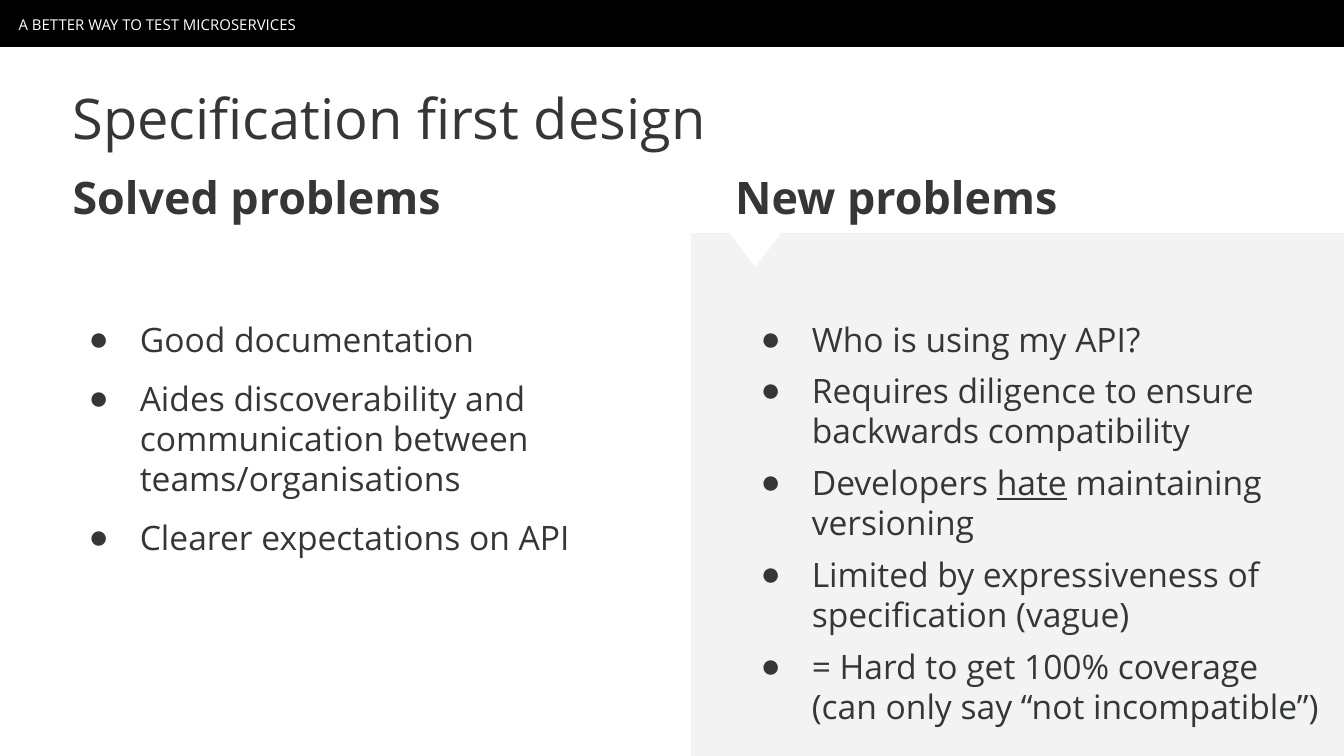
import pptx
import pptx.dml.color
import pptx.enum.shapes
import pptx.enum.text
import pptx.oxml.ns
import pptx.util
from lxml import etree

Inches = pptx.util.Inches
RGBColor = pptx.dml.color.RGBColor

FONT = "Open Sans"
BULLET_FONT = "Arial"
INK = RGBColor(0x35, 0x37, 0x37)
WHITE = RGBColor(0xFF, 0xFF, 0xFF)
BLACK = RGBColor(0x00, 0x00, 0x00)
PALE_GREY = RGBColor(0xF3, 0xF3, 0xF3)

SLIDE_WIDTH = 10
SLIDE_HEIGHT = SLIDE_WIDTH * 9 / 16
MARGIN = 0.44
HEADING_TOP = 1.16
LIST_OFFSET = 1.11

SOLVED_PROBLEMS = [
    "Good documentation",
    "Aides discoverability and communication between teams/organisations",
    "Clearer expectations on API",
]
NEW_PROBLEMS = [
    "Who is using my API?",
    "Requires diligence to ensure backwards compatibility",
    "Developers _hate_ maintaining versioning",
    "Limited by expressiveness of specification (vague)",
    "= Hard to get 100% coverage (can only say “not incompatible”)",
]


def place(shape, left, top, width, height):
    """Move a shape to a box given in inches."""
    shape.left, shape.top = Inches(left), Inches(top)
    shape.width, shape.height = Inches(width), Inches(height)


def prepare_frame(shape, anchor=pptx.enum.text.MSO_ANCHOR.TOP):
    """Give a text frame wrapping, even insets and no autofit."""
    frame = shape.text_frame
    frame.word_wrap = True
    frame.auto_size = pptx.enum.text.MSO_AUTO_SIZE.NONE
    frame.vertical_anchor = anchor
    frame.margin_left = frame.margin_right = Inches(0.1)
    frame.margin_top = frame.margin_bottom = Inches(0.1)
    return frame


def write_text(paragraph, text, size, color=INK, bold=False, before=0, line_spacing=1.0):
    """Write text into a paragraph, underlining what stands between underscores."""
    paragraph.alignment = pptx.enum.text.PP_ALIGN.LEFT
    paragraph.space_before = pptx.util.Pt(before)
    paragraph.line_spacing = line_spacing
    for index, part in enumerate(text.split("_")):
        run = paragraph.add_run()
        run.text = part
        run.font.name = FONT
        run.font.size = pptx.util.Pt(size)
        run.font.bold = bold
        run.font.color.rgb = color
        if index % 2:
            run.font.underline = True


def add_bullet(paragraph):
    """Give a paragraph a hanging round bullet."""
    properties = paragraph._p.get_or_add_pPr()
    properties.set("marL", str(Inches(0.5)))
    properties.set("indent", str(Inches(-0.38)))
    qualified = pptx.oxml.ns.qn
    color = etree.SubElement(properties, qualified("a:buClr"))
    etree.SubElement(color, qualified("a:srgbClr"), val=str(INK))
    etree.SubElement(properties, qualified("a:buFont"), typeface=BULLET_FONT)
    etree.SubElement(properties, qualified("a:buChar"), char="●")


def add_filled_shape(slide, kind, box, color, outlined=True):
    """Add a flat shape in one colour."""
    shape = slide.shapes.add_shape(kind, *map(Inches, box))
    shape.shadow.inherit = False
    shape.fill.solid()
    shape.fill.fore_color.rgb = color
    if outlined:
        shape.line.color.rgb = color
        shape.line.width = pptx.util.Pt(0.75)
    else:
        shape.line.fill.background()
    return shape


def add_banner(slide, left, top, width, height):
    """Add the black strip with the name of the talk."""
    kind = pptx.enum.shapes.MSO_SHAPE.RECTANGLE
    add_filled_shape(slide, kind, (left, top, width, height), BLACK, outlined=False)
    label = slide.shapes.add_textbox(
        Inches(left + 0.04), Inches(top + 0.03), Inches(8.83), Inches(0.28)
    )
    frame = prepare_frame(label, pptx.enum.text.MSO_ANCHOR.MIDDLE)
    write_text(frame.paragraphs[0], "A BETTER WAY TO TEST MICROSERVICES",
               size=8, color=WHITE, line_spacing=1.15)


def add_panel(slide, left, top, width, height):
    """Add the grey panel with its notch, behind the text."""
    kinds = pptx.enum.shapes.MSO_SHAPE
    panel = add_filled_shape(slide, kinds.RECTANGLE, (left, top, width, height), PALE_GREY)
    slide.shapes._spTree.insert(2, panel._element)
    notch = add_filled_shape(
        slide, kinds.ISOSCELES_TRIANGLE, (left + 0.29, top, 0.36, 0.24), WHITE
    )
    notch.rotation = 180


def fill_title(slide, left, top, width, height):
    """Fill the title placeholder."""
    title = slide.shapes.title
    place(title, left, top, width, height)
    write_text(prepare_frame(title).paragraphs[0], "Specification first design", size=30)


def fill_column(heading, body, left, top, title, items, list_box, before):
    """Fill a heading and the bulleted list under it."""
    place(heading, left, top, 4.63, 0.5)
    write_text(prepare_frame(heading).paragraphs[0], title, size=24, bold=True)
    indent, width, height = list_box
    place(body, left + indent, top + LIST_OFFSET, width, height)
    frame = prepare_frame(body)
    for index, item in enumerate(items):
        paragraph = frame.add_paragraph() if index else frame.paragraphs[0]
        add_bullet(paragraph)
        write_text(paragraph, item, size=18, before=before if index else 0)


def main():
    """Build and save the slide."""
    presentation = pptx.Presentation()
    presentation.slide_width = Inches(SLIDE_WIDTH)
    presentation.slide_height = Inches(SLIDE_HEIGHT)
    layout = presentation.slide_layouts.get_by_name("Comparison")
    slide = presentation.slides.add_slide(layout)
    left_heading, left_list, right_heading, right_list = list(slide.placeholders)[1:]

    add_panel(slide, 5.15, 1.74, SLIDE_WIDTH - 5.15, SLIDE_HEIGHT - 1.74)
    add_banner(slide, 0, 0, SLIDE_WIDTH, 0.35)
    fill_title(slide, MARGIN, 0.52, 8.89, 0.5)
    fill_column(left_heading, left_list, MARGIN, HEADING_TOP, "Solved problems",
                SOLVED_PROBLEMS, list_box=(0, 4.21, 2.55), before=10)
    fill_column(right_heading, right_list, 5.37, HEADING_TOP, "New problems",
                NEW_PROBLEMS, list_box=(0.07, 4.56, 3.21), before=6)
    presentation.save("out.pptx")


if __name__ == "__main__":
    main()
